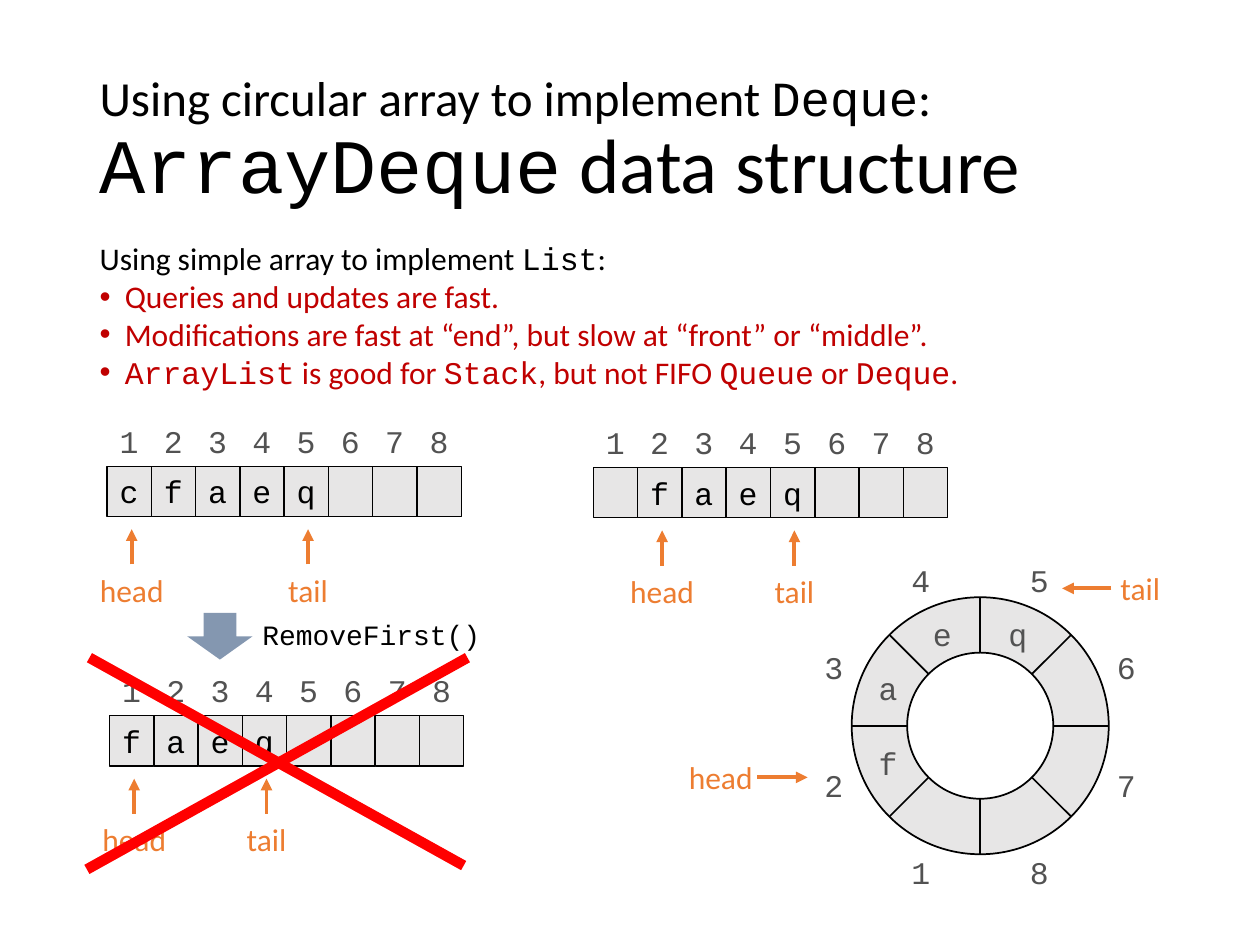
import math
import lxml.etree
import pptx
import pptx.dml.color
import pptx.enum.shapes
import pptx.enum.text
import pptx.oxml.ns
import pptx.util

Inches = pptx.util.Inches
Pt = pptx.util.Pt
qn = pptx.oxml.ns.qn
SHAPE = pptx.enum.shapes.MSO_SHAPE
ALIGN = pptx.enum.text.PP_ALIGN
ANCHOR = pptx.enum.text.MSO_ANCHOR
FIT = pptx.enum.text.MSO_AUTO_SIZE

COLORS = {"ink": "000000", "index": "525252", "cell": "E7E6E6", "paper": "FFFFFF",
          "pointer": "ED7D31", "claim": "C00000", "cross": "FF0000", "step": "8497B0"}
SANS, MONO = "Calibri", "Courier New"

HEADING = [("Using circular array to implement `Deque`:", 28),
           ("`ArrayDeque` data structure", 44)]
INTRO = "Using simple array to implement `List`:"
CLAIMS = ["Queries and updates are fast.",
          "Modifications are fast at “end”, but slow at “front” or “middle”.",
          "`ArrayList` is good for `Stack`, but not FIFO `Queue` or `Deque`."]
SLOTS = 8
ARRAYS = [
    {"left": 0.85, "top": 3.3, "values": ["c", "f", "a", "e", "q"], "head": 1, "tail": 5},
    {"left": 4.71, "top": 3.31, "values": ["", "f", "a", "e", "q"], "head": 2, "tail": 5},
    {"left": 0.87, "top": 5.28, "values": ["f", "a", "e", "q"], "head": 1, "tail": 4},
]
RING_VALUES = {2: "f", 3: "a", 4: "e", 5: "q"}
RING_POINTERS = [("head", 5.36, 5.97, (6.01, 6.17), (6.41, 6.17)),
                 ("tail", 8.79, 4.47, (8.82, 4.67), (8.43, 4.67))]
CROSS = [((3.68, 6.87), (0.71, 5.22)), ((3.71, 5.22), (0.69, 6.9))]

CELL_W, CELL_H = 0.35, 0.4
LABEL_W = {"head": 0.72, "tail": 0.52}
CENTER_X, CENTER_Y, OUTER, INNER = 7.78, 5.76, 1.02, 0.58


def rgb(name):
    return pptx.dml.color.RGBColor.from_string(COLORS[name])


def write(paragraph, text, size=18, color="ink", align=ALIGN.LEFT, font=SANS):
    paragraph.alignment = align
    for position, part in enumerate(text.split("`")):
        if part:
            run = paragraph.add_run()
            run.text = part
            run.font.size = Pt(size)
            run.font.name = MONO if position % 2 else font
            run.font.color.rgb = rgb(color)


def write_line(frame, text, **style):
    frame.word_wrap = False
    frame.auto_size = FIT.SHAPE_TO_FIT_TEXT
    write(frame.paragraphs[0], text, **style)


def place(shape, left, top, width, height):
    shape.left, shape.top = Inches(left), Inches(top)
    shape.width, shape.height = Inches(width), Inches(height)


def label(shapes, text, left, top, width=CELL_W, height=CELL_H, **style):
    box = shapes.add_textbox(Inches(left), Inches(top), Inches(width), Inches(height))
    write_line(box.text_frame, text, **style)
    return box


def solid(shapes, kind, left, top, width, height, fill, line=None):
    shape = shapes.add_shape(kind, Inches(left), Inches(top), Inches(width), Inches(height))
    shape.shadow.inherit = False
    shape.fill.solid()
    shape.fill.fore_color.rgb = rgb(fill)
    if line:
        shape.line.color.rgb = rgb("ink")
        shape.line.width = Pt(line)
    else:
        shape.line.fill.background()
    return shape


def stroke(shapes, start, end, color="ink", width=1, arrow=False):
    line = shapes.add_connector(pptx.enum.shapes.MSO_CONNECTOR.STRAIGHT,
                                *[Inches(value) for value in (*start, *end)])
    line.line.color.rgb = rgb(color)
    line.line.width = Pt(width)
    if arrow:
        lxml.etree.SubElement(line.line._get_or_add_ln(), qn("a:tailEnd"), type="triangle")
    lxml.etree.SubElement(line._element.spPr, qn("a:effectLst"))
    return line


def pointer_label(shapes, name, left, top):
    return label(shapes, name, left, top, LABEL_W[name], color="pointer", align=ALIGN.CENTER)


def draw_array(shapes, left, top, values, **pointers):
    for slot in range(SLOTS):
        cell_left = left + slot * (CELL_W + 0.0015)
        cell = solid(shapes, SHAPE.RECTANGLE, cell_left, top + CELL_H,
                     CELL_W, CELL_H, "cell", 0.75)
        if slot < len(values) and values[slot]:
            write_line(cell.text_frame, values[slot], font=MONO)
        label(shapes, str(slot + 1), cell_left, top, color="index", font=MONO)
    for name, slot in pointers.items():
        x = left + (slot - 0.5) * CELL_W + 0.02
        name_box = pointer_label(shapes, name, x - LABEL_W[name] / 2, top + 1.18)
        arrow = stroke(shapes, (x, top + 1.18), (x, top + 0.9), "pointer", 2.25, arrow=True)
        arrow.begin_connect(name_box, 0)


def octants(near, far):
    left_half = [(-near, far), (-far, near), (-far, -near), (-near, -far)]
    return left_half + [(-x, y) for x, y in reversed(left_half)]


def draw_ring(shapes):
    for radius, fill in ((OUTER, "cell"), (INNER, "paper")):
        solid(shapes, SHAPE.OVAL, CENTER_X - radius, CENTER_Y - radius,
              2 * radius, 2 * radius, fill, 1)
    for slot in range(SLOTS):
        angle = 2 * math.pi * slot / SLOTS
        inside, outside = [(CENTER_X + radius * math.cos(angle),
                            CENTER_Y + radius * math.sin(angle)) for radius in (INNER, OUTER)]
        stroke(shapes, inside, outside)
    indexes = {slot: str(slot) for slot in range(1, SLOTS + 1)}
    for texts, near, far in ((indexes, 0.47, 1.16), (RING_VALUES, 0.3, 0.73)):
        offsets = octants(near, far)
        for slot, text in texts.items():
            x, y = offsets[slot - 1]
            label(shapes, text, CENTER_X + x - CELL_W / 2, CENTER_Y + y - CELL_H / 2,
                  color="index", font=MONO)
    for name, left, top, start, end in RING_POINTERS:
        stroke(shapes, start, end, "pointer", 2.25, arrow=True)
        pointer_label(shapes, name, left, top)


def draw_heading(title):
    place(title, 0.69, 0.4, 8.62, 1.45)
    frame = title.text_frame
    frame.auto_size = FIT.NONE
    frame.word_wrap = True
    frame.vertical_anchor = ANCHOR.MIDDLE
    paragraph = frame.paragraphs[0]
    paragraph.line_spacing = 0.9
    (first, first_size), (second, second_size) = HEADING
    write(paragraph, first, size=first_size)
    paragraph.add_line_break()
    line_break = paragraph._p.find(qn("a:br"))
    lxml.etree.SubElement(line_break, qn("a:rPr"), sz=str(first_size * 100))
    write(paragraph, second, size=second_size)


def draw_claims(body):
    place(body, 0.69, 1.85, 7.07, 1.31)
    frame = body.text_frame
    frame.auto_size = FIT.SHAPE_TO_FIT_TEXT
    frame.word_wrap = False
    frame.vertical_anchor = ANCHOR.TOP
    for position, text in enumerate([INTRO, *CLAIMS]):
        paragraph = frame.add_paragraph() if position else frame.paragraphs[0]
        paragraph.space_before = Pt(0)
        write(paragraph, text, color="claim" if position else "ink")
        properties = paragraph._p.get_or_add_pPr()
        indent = Inches(0.2) if position else 0
        properties.set("marL", str(indent))
        properties.set("indent", str(-indent))
        if position:
            lxml.etree.SubElement(properties, qn("a:buFont"), typeface="Arial")
            lxml.etree.SubElement(properties, qn("a:buChar"), char="•")
        else:
            lxml.etree.SubElement(properties, qn("a:buNone"))


def main():
    deck = pptx.Presentation()
    deck.slide_width, deck.slide_height = Inches(10), Inches(7.5)
    slide = deck.slides.add_slide(deck.slide_layouts[1])
    shapes = slide.shapes
    draw_heading(shapes.title)
    draw_claims(slide.placeholders[1])
    for array in ARRAYS:
        draw_array(shapes.add_group_shape().shapes, **array)
    draw_ring(shapes.add_group_shape().shapes)
    for start, end in CROSS:
        stroke(shapes, start, end, "cross", 6)
    step = solid(shapes, SHAPE.RIGHT_ARROW, 1.56, 4.79, 0.37, 0.52, "step")
    step.rotation = 90
    label(shapes, "RemoveFirst()", 1.95, 4.85, 1.96, 0.37,
          size=16, font=MONO, align=ALIGN.RIGHT)
    deck.save("out.pptx")


if __name__ == "__main__":
    main()
